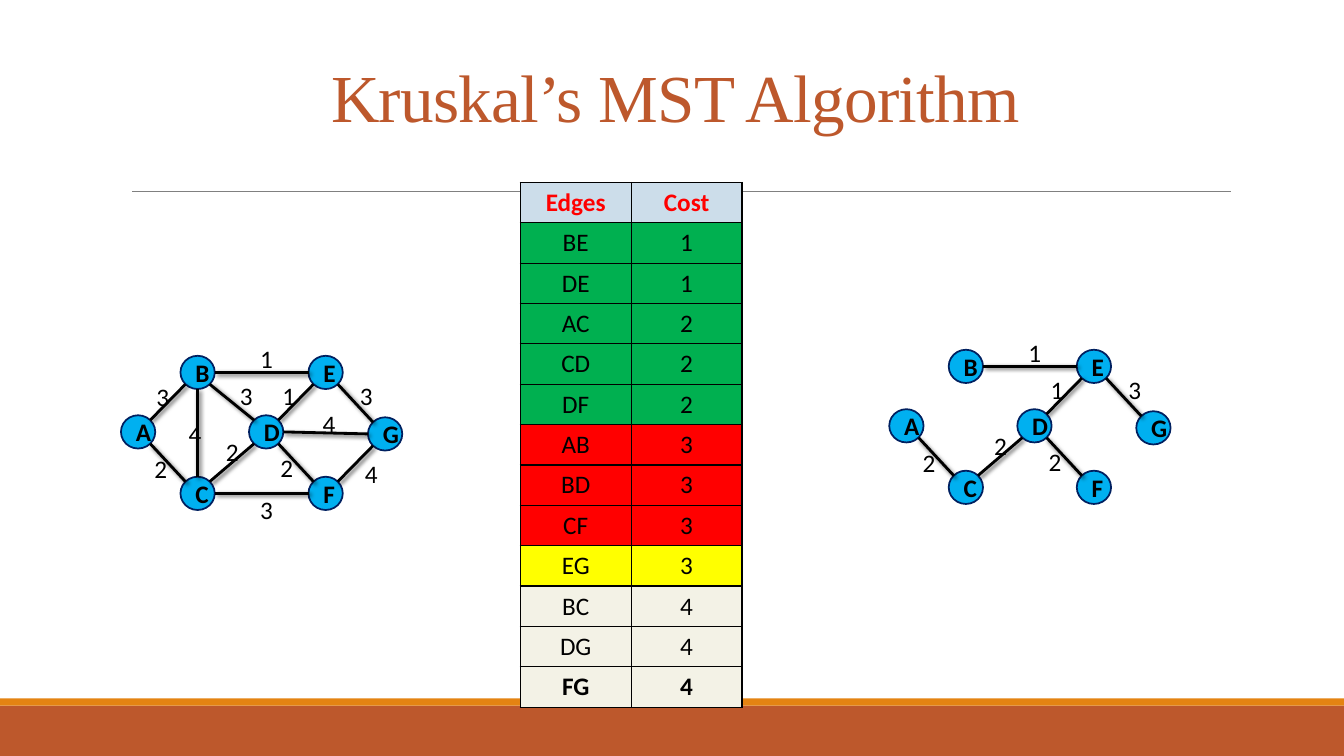
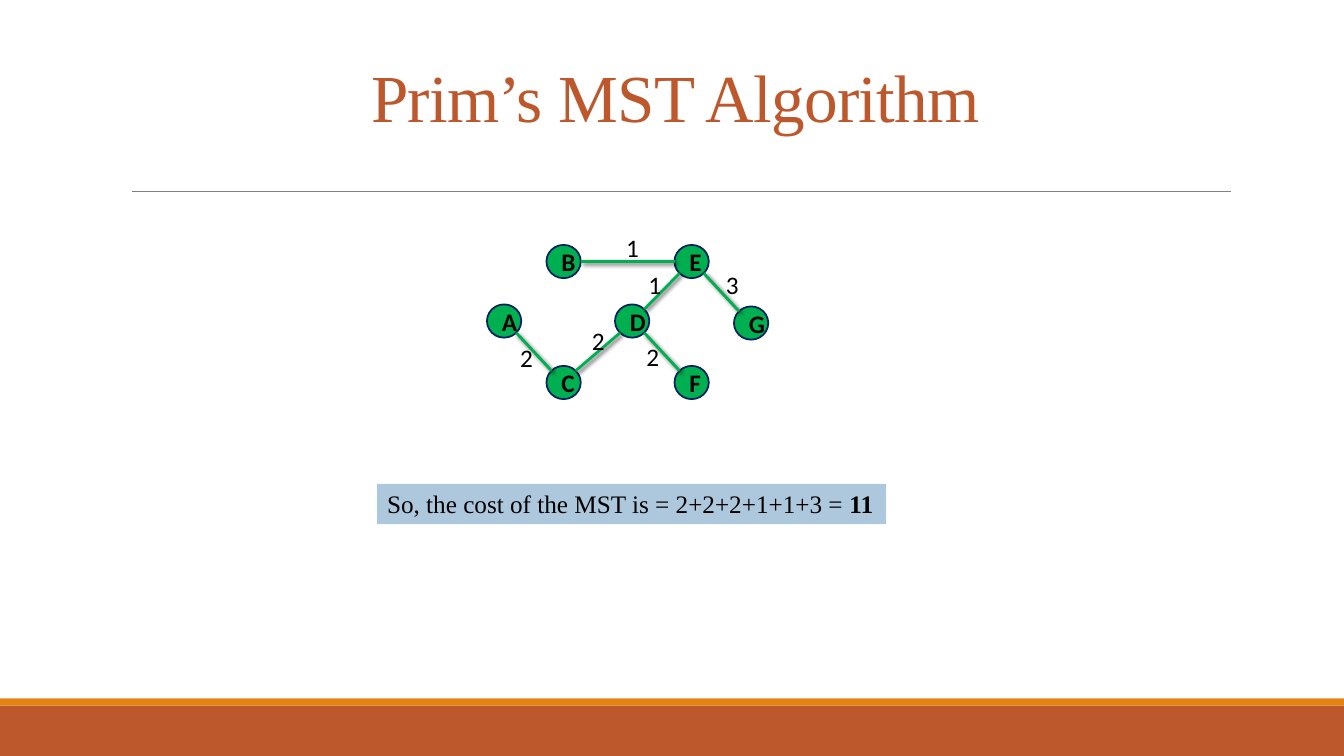
from lxml.etree import SubElement
from pptx import Presentation
from pptx.dml.color import RGBColor
from pptx.enum.shapes import MSO_CONNECTOR, MSO_SHAPE
from pptx.enum.text import MSO_ANCHOR, MSO_AUTO_SIZE, PP_ALIGN
from pptx.oxml.ns import qn
from pptx.util import Inches, Pt

BLACK, RED, GREEN, YELLOW = "000000", "FF0000", "00B050", "FFFF00"
SKY, NAVY, RUST, ORANGE = "00B0F0", "002060", "BD582C", "E48312"
GRAY, HEADER, PALE, NOTE = "808080", "CCDDEA", "F3F2E6", "ADC8DD"
SANS, SERIF = "Calibri", "Times New Roman"

NODE_WIDTH, NODE_HEIGHT = 0.34, 0.33
NODES = {
    "A": (0, 0), "B": (0.59, -0.59), "D": (1.27, 0), "E": (1.86, -0.59),
    "F": (1.86, 0.61), "G": (2.45, 0.02), "C": (0.59, 0.61),
}
EDGES = {
    "BE": (1, 1.38, -0.76), "DE": (1, 1.6, -0.4), "AC": (2, 0.33, 0.33),
    "CD": (2, 1.04, 0.16), "DF": (2, 1.58, 0.32), "AB": (3, 0.35, -0.39),
    "BD": (3, 1.18, -0.4), "CF": (3, 1.38, 0.74), "EG": (3, 2.37, -0.4),
    "BC": (4, 0.67, -0.02), "DG": (4, 2, -0.12), "FG": (4, 2.42, 0.38),
}
TREE = ["BE", "DE", "AC", "CD", "DF", "EG"]
REJECTED = ["AB", "BD", "CF"]


def color(value):
    """Turn a hex string into a colour."""
    return RGBColor.from_string(value)


def edge_ends(first, second):
    """Return the points where an edge meets the rims of its two nodes."""
    (x1, y1), (x2, y2) = first, second
    flat, upright = abs(y2 - y1) < 0.1, abs(x2 - x1) < 0.1
    reach = 1 if flat or upright else 0.71
    dx = 0 if upright else reach * NODE_WIDTH / 2 * (1 if x2 > x1 else -1)
    dy = 0 if flat else reach * NODE_HEIGHT / 2 * (1 if y2 > y1 else -1)
    return (x1 + dx, y1 + dy), (x2 - dx, y2 - dy)


class Deck:
    """Hold the shared style and the current slide."""

    def __init__(self):
        """Start an empty widescreen deck."""
        self.deck = Presentation()
        self.deck.slide_width, self.deck.slide_height = Inches(13.33), Inches(7.5)
        self.slide = None

    def add_slide(self, title):
        """Add a slide with its title, rule and bottom bands."""
        self.slide = self.deck.slides.add_slide(self.deck.slide_layouts[5])
        box = self.slide.shapes.title
        box.left, box.top, box.width, box.height = map(Inches, (1.2, 0.5, 11, 0.9))
        frame = box.text_frame
        frame.text = title
        frame.word_wrap = True
        frame.auto_size = MSO_AUTO_SIZE.NONE
        frame.vertical_anchor = MSO_ANCHOR.BOTTOM
        paragraph = frame.paragraphs[0]
        paragraph.line_spacing = 0.85
        self.format(paragraph, 48, SERIF, RUST)
        paragraph.runs[0]._r.get_or_add_rPr().set("spc", "-50")
        self.shape(MSO_SHAPE.RECTANGLE, 0, 7, 13.33, 0.5, RUST)
        self.shape(MSO_SHAPE.RECTANGLE, 0, 6.93, 13.33, 0.07, ORANGE)
        self.line((1.31, 1.9), (12.21, 1.9), GRAY, 0.5)

    def format(self, paragraph, size=18, font=SANS, ink=BLACK, bold=False, align=PP_ALIGN.CENTER):
        """Style every run of a paragraph."""
        paragraph.alignment = align
        for span in paragraph.runs:
            span.font.size, span.font.name, span.font.bold = Pt(size), font, bold
            span.font.color.rgb = color(ink)

    def shape(self, kind, left, top, width, height, fill):
        """Add a plain filled shape."""
        shape = self.slide.shapes.add_shape(kind, *map(Inches, (left, top, width, height)))
        shape.shadow.inherit = False
        shape.fill.solid()
        shape.fill.fore_color.rgb = color(fill)
        shape.line.fill.background()
        return shape

    def line(self, start, end, ink, width, shadow=False):
        """Add a straight line, with a soft shadow if asked."""
        line = self.slide.shapes.add_connector(MSO_CONNECTOR.STRAIGHT, *map(Inches, start + end))
        line.line.color.rgb = color(ink)
        line.line.width = Pt(width)
        effects = SubElement(line._element.spPr, qn("a:effectLst"))
        if shadow:
            outer = SubElement(effects, qn("a:outerShdw"), blurRad=str(Pt(3)), dist=str(Pt(2)),
                               dir="2700000", algn="tl", rotWithShape="0")
            shade = SubElement(outer, qn("a:srgbClr"), val=BLACK)
            SubElement(shade, qn("a:alpha"), val="60000")

    def text(self, left, top, width, *texts):
        """Add a one-line text box with one run for each text."""
        box = self.slide.shapes.add_textbox(*map(Inches, (left, top, width, 0.4)))
        box.text_frame.word_wrap = True
        box.text_frame.auto_size = MSO_AUTO_SIZE.SHAPE_TO_FIT_TEXT
        paragraph = box.text_frame.paragraphs[0]
        for text in texts:
            paragraph.add_run().text = text
        self.format(paragraph)
        return box

    def node(self, name, left, top, fill):
        """Add a round node with its letter."""
        node = self.shape(MSO_SHAPE.FLOWCHART_CONNECTOR, left, top, NODE_WIDTH, NODE_HEIGHT, fill)
        node.line.color.rgb = color(NAVY)
        node.line.width = Pt(1.25)
        node.text_frame.text = name
        node.text_frame.vertical_anchor = MSO_ANCHOR.MIDDLE
        self.format(node.text_frame.paragraphs[0], bold=True)

    def graph(self, left, top, edges, fill=SKY, ink=BLACK):
        """Draw all nodes, then the given edges with their costs."""
        centers = {}
        for name, (x, y) in NODES.items():
            self.node(name, left + x, top + y, fill)
            centers[name] = (left + x + NODE_WIDTH / 2, top + y + NODE_HEIGHT / 2)
        for first, second in edges:
            self.line(*edge_ends(centers[first], centers[second]), ink, 2, shadow=True)
        for edge in edges:
            cost, x, y = EDGES[edge]
            self.text(left + x, top + y, 0.05, str(cost))

    def cell(self, cell, text, fill, ink, bold):
        """Fill, border and label one table cell."""
        cell.text = text
        cell.vertical_anchor = MSO_ANCHOR.MIDDLE
        self.format(cell.text_frame.paragraphs[0], ink=ink, bold=bold)
        properties = cell._tc.get_or_add_tcPr()
        for side in ("lnL", "lnR", "lnT", "lnB"):
            border = SubElement(properties, qn(f"a:{side}"), w=str(Pt(1)))
            SubElement(SubElement(border, qn("a:solidFill")), qn("a:srgbClr"), val=BLACK)
        cell.fill.solid()
        cell.fill.fore_color.rgb = color(fill)

    def table(self, left, top, rows):
        """Add a two-column table from rows of texts, fill, ink and weight."""
        frame = self.slide.shapes.add_table(len(rows), 2, *map(Inches, (left, top, 2.2, 0.4 * len(rows))))
        table = frame.table
        table.first_row = table.horz_banding = False
        for row, (texts, *style) in zip(table.rows, rows):
            for cell, text in zip(row.cells, texts):
                self.cell(cell, text, *style)


def edge_rows():
    """List the edge table, coloured by the state of each edge."""
    fills = dict.fromkeys(TREE, GREEN) | dict.fromkeys(REJECTED, RED) | {"EG": YELLOW}
    rows = [(("Edges", "Cost"), HEADER, RED, True)]
    for edge, (cost, _, _) in EDGES.items():
        rows.append(((edge, str(cost)), fills.get(edge, PALE), BLACK, edge == "FG"))
    return rows


def main():
    """Build and save the deck."""
    deck = Deck()
    deck.add_slide("Kruskal’s MST Algorithm")
    deck.graph(1.2, 4.12, list(EDGES))
    deck.table(5.16, 1.81, edge_rows())
    deck.graph(8.82, 4.06, TREE)

    deck.add_slide("Prim’s MST Algorithm")
    deck.graph(4.83, 3.02, TREE, GREEN, GREEN)
    note = deck.text(3.74, 4.8, 5.05, "So, the cost of the MST is = 2+2+2+1+1+3 = ", "11")
    note.fill.solid()
    note.fill.fore_color.rgb = color(NOTE)
    paragraph = note.text_frame.paragraphs[0]
    deck.format(paragraph, font=SERIF, align=PP_ALIGN.LEFT)
    paragraph.runs[1].font.bold = True
    deck.deck.save("out.pptx")


if __name__ == "__main__":
    main()
